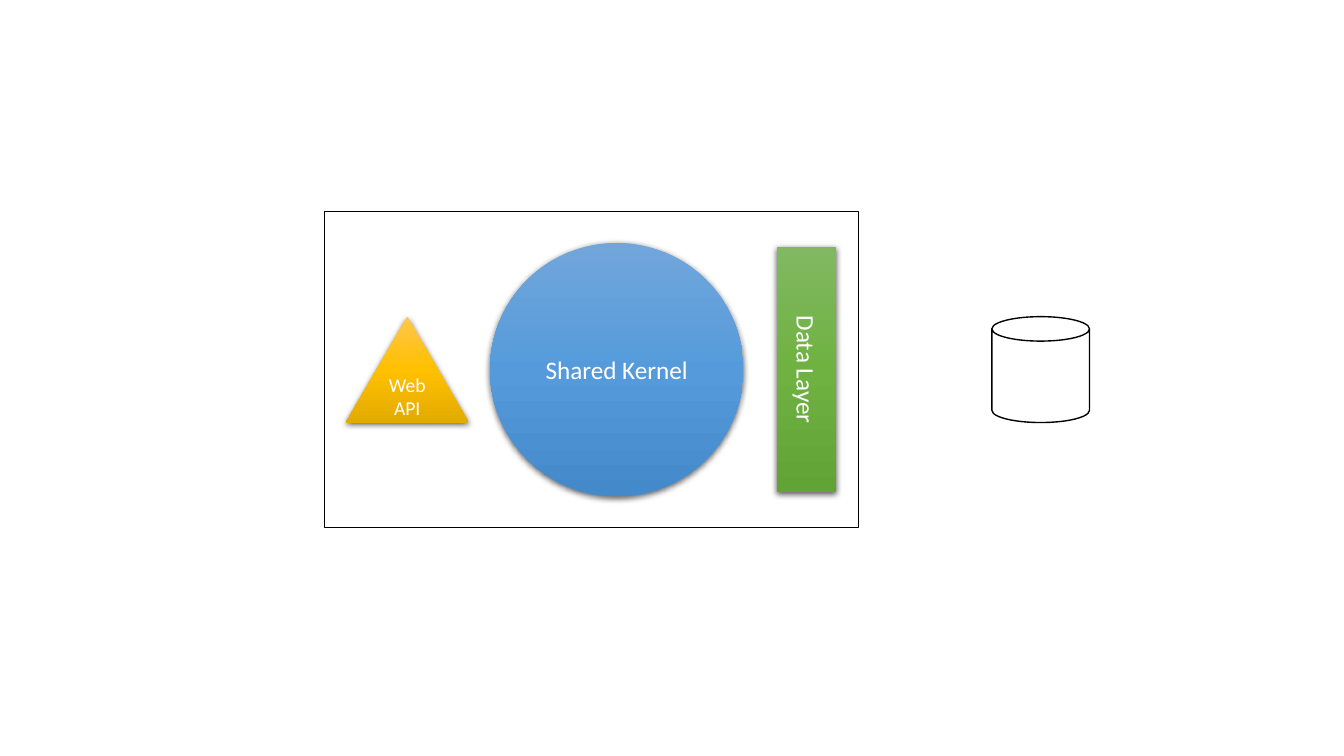
import pptx
import pptx.dml.color
import pptx.enum.shapes
import pptx.enum.text
import pptx.oxml
import pptx.oxml.ns
import pptx.util

Pt = pptx.util.Pt
KIND = pptx.enum.shapes.MSO_SHAPE
NS = pptx.oxml.ns.nsdecls("a")
MID = 264  # every shape is centred on this height


def color(code):
    return pptx.dml.color.RGBColor.from_string(code)


def add_box(slide, kind, left, width, height):
    shape = slide.shapes.add_shape(
        kind, Pt(left), Pt(MID - height / 2), Pt(width), Pt(height))
    shape.shadow.inherit = False
    return shape


def add_line(shape, weight):
    shape.line.color.rgb = color("000000")
    shape.line.width = Pt(weight)


def add_fade(shape, codes):
    """Fill with evenly spaced colours from top to bottom."""
    shape.fill.gradient()
    shape.fill.gradient_angle = 270
    stops = shape.element.spPr.find(".//" + pptx.oxml.ns.qn("a:gsLst"))
    for stop in list(stops):
        stops.remove(stop)
    step = 100000 // (len(codes) - 1)
    for i, code in enumerate(codes):
        stops.append(pptx.oxml.parse_xml(
            f'<a:gs {NS} pos="{i * step}"><a:srgbClr val="{code}"/></a:gs>'))


def add_shade(shape):
    effects = shape.element.spPr.find(pptx.oxml.ns.qn("a:effectLst"))
    effects.append(pptx.oxml.parse_xml(
        f'<a:outerShdw {NS} blurRad="{Pt(4.5)}" dist="{Pt(1.5)}" '
        'dir="5400000" algn="ctr" rotWithShape="0"><a:srgbClr val="000000">'
        '<a:alpha val="63000"/></a:srgbClr></a:outerShdw>'))


def add_text(shape, text, size):
    frame = shape.text_frame
    frame.text = text
    frame.word_wrap = True
    frame.vertical_anchor = pptx.enum.text.MSO_ANCHOR.MIDDLE
    para = frame.paragraphs[0]
    para.alignment = pptx.enum.text.PP_ALIGN.CENTER
    font = para.runs[0].font
    font.name = "Calibri"
    font.size = Pt(size)
    font.color.rgb = color("FFFFFF")


def add_part(slide, kind, left, width, height, codes, text, size):
    part = add_box(slide, kind, left, width, height)
    part.line.fill.background()
    add_fade(part, codes)
    add_shade(part)
    add_text(part, text, size)
    return part


def main():
    deck = pptx.Presentation()
    deck.slide_width, deck.slide_height = Pt(960), Pt(540)
    slide = deck.slides.add_slide(deck.slide_layouts[6])

    # Service frame
    frame = add_box(slide, KIND.RECTANGLE, 231.8, 381.6, 226)
    frame.fill.background()
    add_line(frame, 0.75)

    # Parts of the service
    add_part(slide, KIND.OVAL, 350, 181, 181,
             ["71A6DB", "559BDB", "448ACA"], "Shared Kernel", 18)
    add_part(slide, KIND.ISOSCELES_TRIANGLE, 247, 87.8, 75.6,
             ["FFC64B", "FFC000", "E3AB00"], "Web API", 14)
    layer = add_part(slide, KIND.RECTANGLE, 555, 42.5, 175.7,
                     ["81B861", "6FB242", "62A336"], "Data Layer", 18)
    layer.text_frame._txBody.bodyPr.set("vert", "vert")

    # Database
    store = add_box(slide, KIND.CAN, 708.5, 69.8, 75.6)
    store.fill.solid()
    store.fill.fore_color.rgb = color("FFFFFF")
    add_line(store, 1)

    deck.save("out.pptx")


main()
